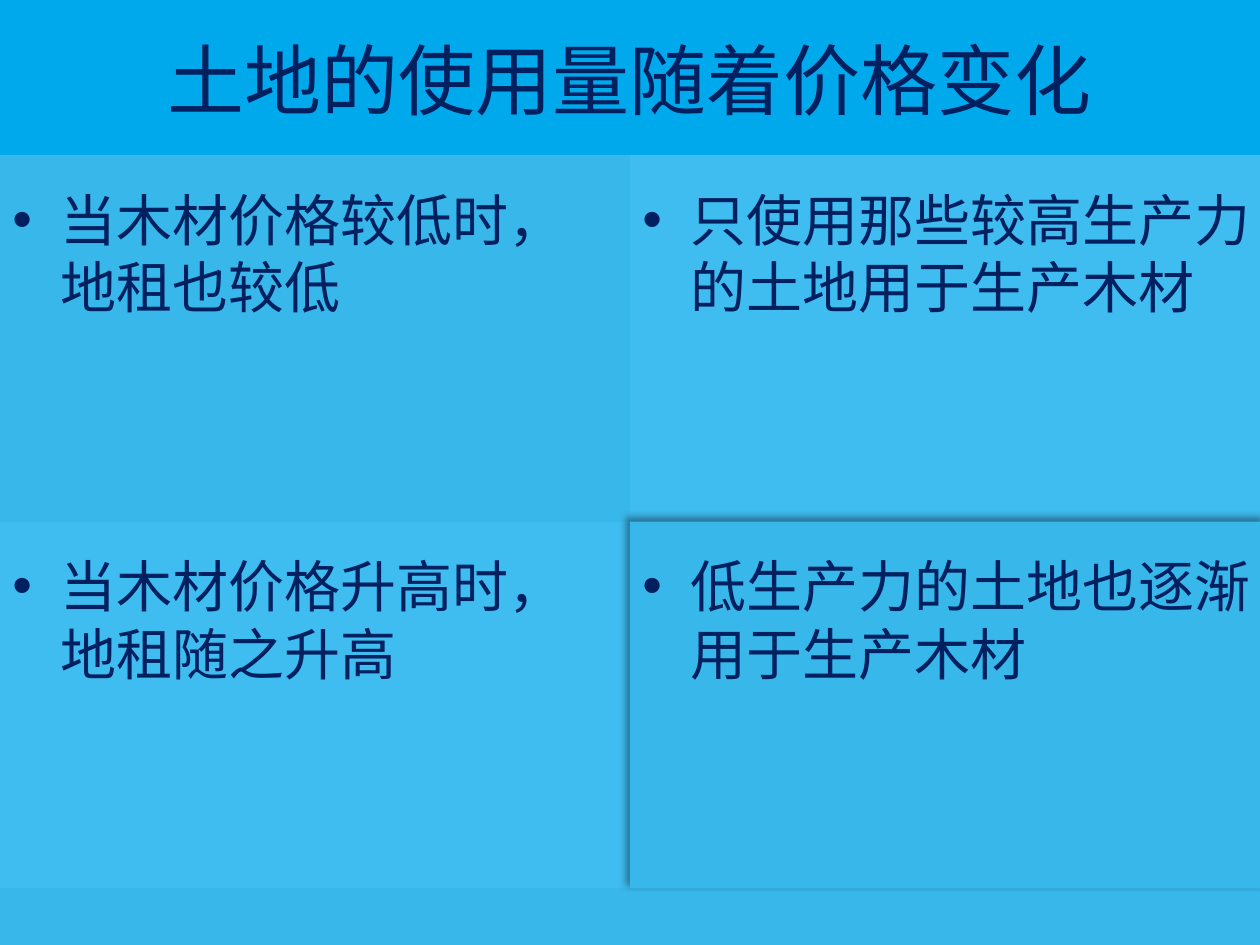
from lxml import etree
from pptx import Presentation
from pptx import util as u
from pptx.dml.color import RGBColor
from pptx.enum import shapes, text
from pptx.oxml import ns

# Content: two rows of (price, land use)
TITLE = "土地的使用量随着价格变化"
ROWS = [
    ("当木材价格较低时，地租也较低", "只使用那些较高生产力的土地用于生产木材"),
    ("当木材价格升高时，地租随之升高", "低生产力的土地也逐渐用于生产木材"),
]

FONT = "Noto Sans CJK SC"
NAVY = RGBColor(0x00, 0x20, 0x60)
BLUE = RGBColor(0x00, 0xA9, 0xEC)
MID_BLUE = RGBColor(0x38, 0xB7, 0xEA)
LIGHT_BLUE = RGBColor(0x3F, 0xBC, 0xF0)

WIDTH, HEIGHT = 10, 7.5
TITLE_HEIGHT = HEIGHT / 6
GRID_TOP, ROW_HEIGHT = 1.23, 2.91
COLUMNS = [(0, 5), (5, 5.04)]  # left, width
INDENT = u.Inches(0.38)


def add_element(parent, tag, **attributes):
    return etree.SubElement(parent, ns.qn(tag), attributes)


def add_panel(page, words, left, top, width, height, fill, size,
              align=text.PP_ALIGN.LEFT, anchor=text.MSO_ANCHOR.TOP,
              top_inset=0.05, bullet=None, line_spacing=None):
    box = page.shapes.add_shape(shapes.MSO_SHAPE.RECTANGLE,
                                *map(u.Inches, (left, top, width, height)))
    box.shadow.inherit = False
    box.fill.solid()
    box.fill.fore_color.rgb = fill
    box.line.fill.background()
    frame = box.text_frame
    frame.word_wrap = True
    frame.vertical_anchor = anchor
    frame.margin_top = u.Inches(top_inset)
    para = frame.paragraphs[0]
    para.alignment = align
    if bullet:
        properties = para._p.get_or_add_pPr()
        properties.set("marL", str(INDENT))
        properties.set("indent", str(-INDENT))
        add_element(properties, "a:buFont", typeface="Arial")
        add_element(properties, "a:buChar", char=bullet)
    if line_spacing:
        para.line_spacing = u.Pt(line_spacing)
    span = para.add_run()
    span.text = words
    span.font.size = u.Pt(size)
    span.font.name = FONT
    span.font.color.rgb = NAVY
    add_element(span._r.get_or_add_rPr(), "a:ea", typeface=FONT)
    return box


def add_shadow(box):
    effects = box._element.spPr.find(ns.qn("a:effectLst"))
    shadow = add_element(effects, "a:outerShdw", blurRad=str(u.Pt(4)),
                         dist=str(u.Pt(3)), dir=str(225 * 60000),
                         algn="br", rotWithShape="0")
    color = add_element(shadow, "a:srgbClr", val="000000")
    add_element(color, "a:alpha", val="40000")


deck = Presentation()
deck.slide_width, deck.slide_height = u.Inches(WIDTH), u.Inches(HEIGHT)
page = deck.slides.add_slide(deck.slide_layouts[6])
page.background.fill.solid()
page.background.fill.fore_color.rgb = MID_BLUE

# Title band
add_panel(page, TITLE, 0, 0, WIDTH, TITLE_HEIGHT, BLUE, 44,
          align=text.PP_ALIGN.CENTER, anchor=text.MSO_ANCHOR.MIDDLE)

# Checkered grid of statements, filled column by column
for column, (left, width) in enumerate(COLUMNS):
    for row, statements in enumerate(ROWS):
        panel = add_panel(page, statements[column],
                          left, GRID_TOP + row * ROW_HEIGHT, width, ROW_HEIGHT,
                          LIGHT_BLUE if (row + column) % 2 else MID_BLUE, 32,
                          top_inset=0.24, bullet="•", line_spacing=38.4)

# The last panel stands out with a shadow
add_shadow(panel)

deck.save("out.pptx")
